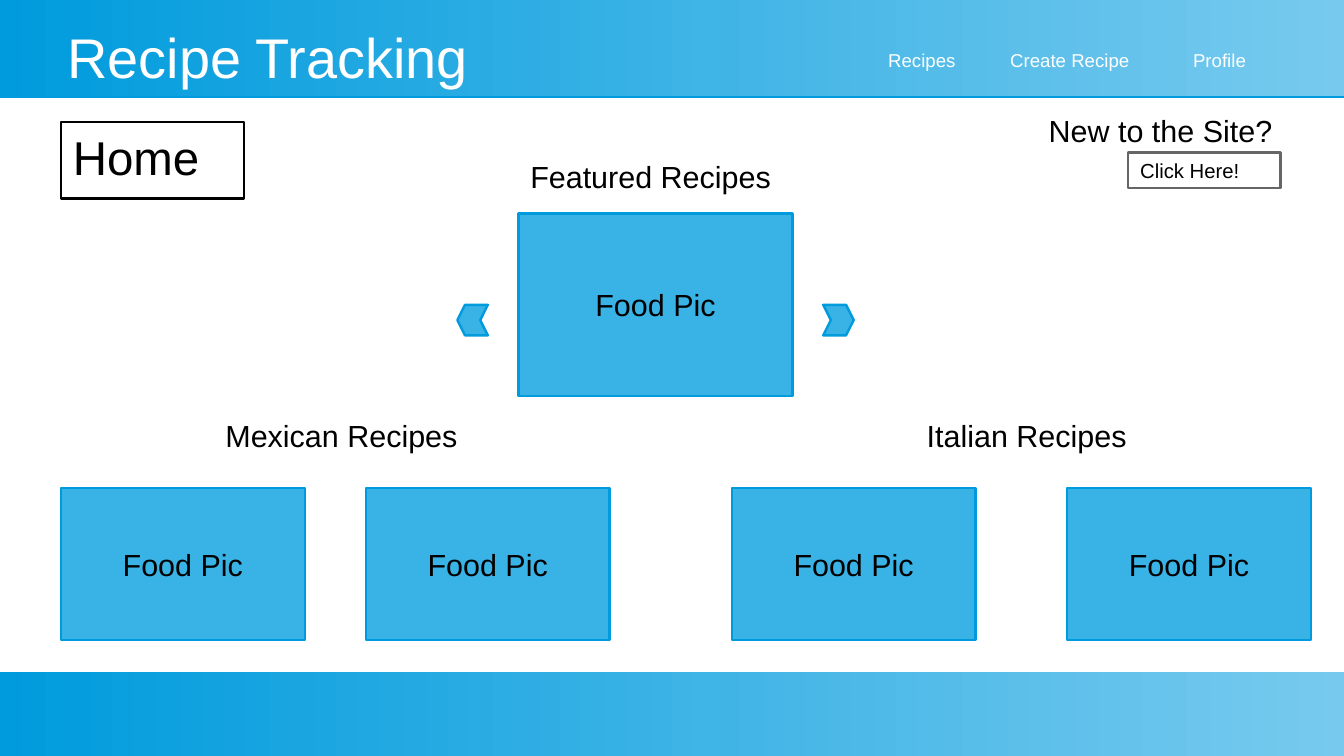
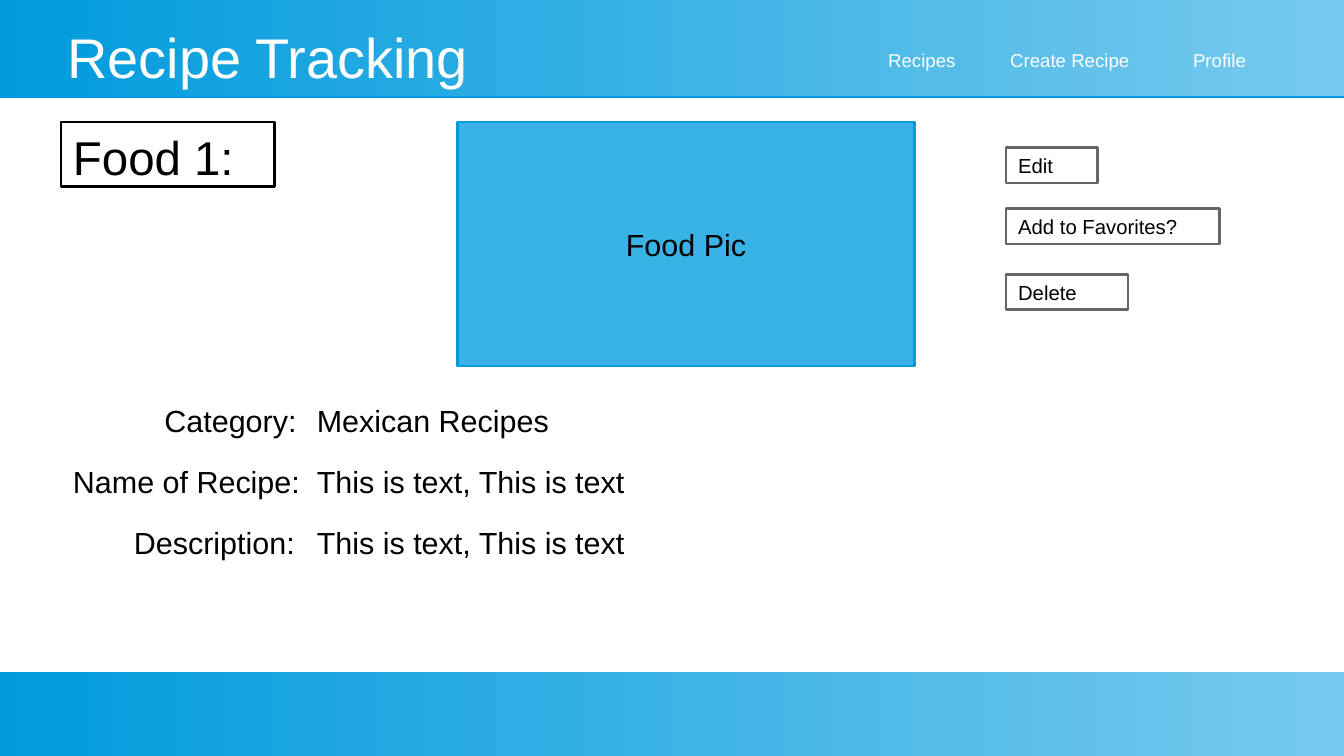
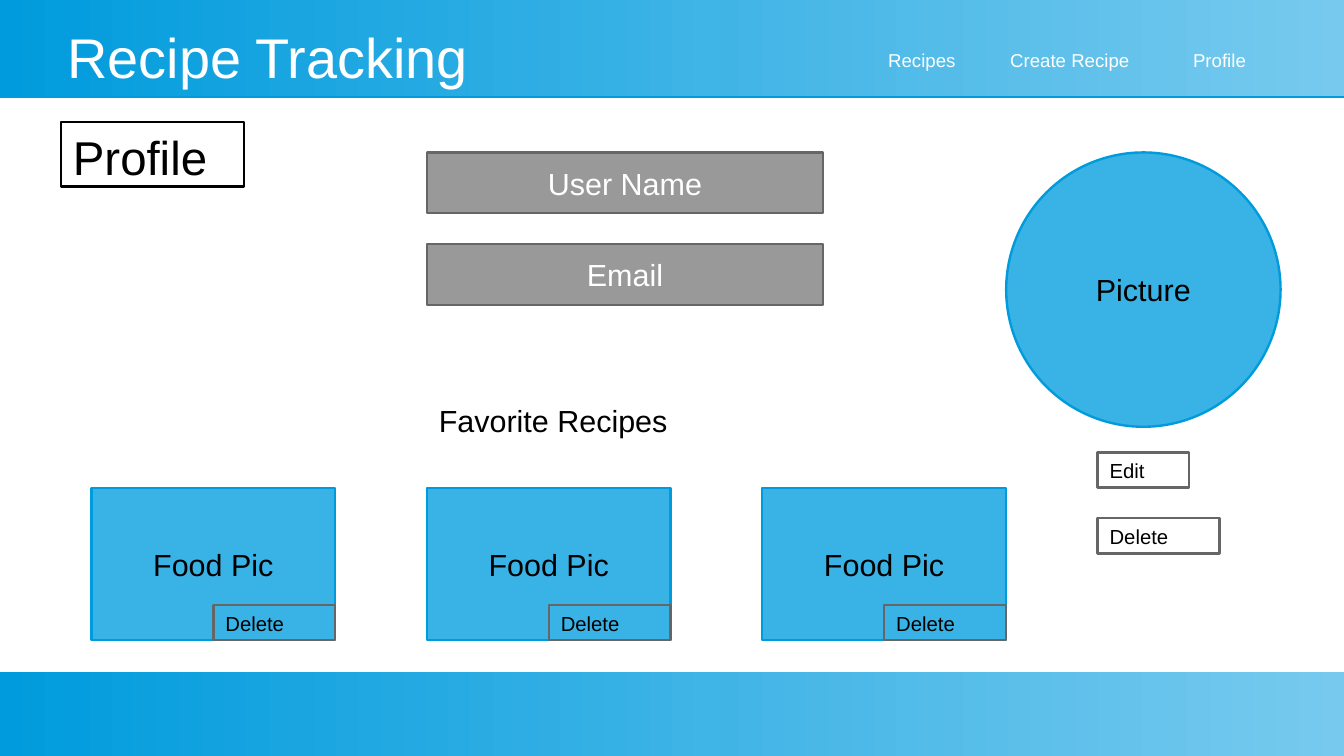
from dataclasses import dataclass
from typing import Optional

from pptx import Presentation
from pptx.dml.color import RGBColor
from pptx.enum import shapes, text
from pptx.oxml import parse_xml
from pptx.oxml.ns import nsdecls
from pptx.util import Inches, Pt

COLOURS = {
    "black": "000000",
    "white": "FFFFFF",
    "blue": "39B2E5",
    "deep_blue": "009BDD",
    "pale_blue": "77CAEE",
    "grey": "999999",
    "dark_grey": "666666",
}
FONT = "Arial"
SLIDE_WIDTH, SLIDE_HEIGHT = 11.02, 6.2
LINE_WIDTH = 1.42
BUTTON_HEIGHT = 0.29
PIC_WIDTH, PIC_HEIGHT, PIC_TOP = 2, 1.25, 4
RECT = shapes.MSO_SHAPE.RECTANGLE
CENTRED = {"vertical_anchor": text.MSO_ANCHOR.MIDDLE}
FLUSH = CENTRED | dict.fromkeys(
    ("margin_left", "margin_top", "margin_right", "margin_bottom"), 0)


@dataclass(frozen=True)
class Style:
    size: float = 18
    colour: str = "black"
    fill: Optional[str] = None
    line: Optional[str] = None
    align: text.PP_ALIGN = text.PP_ALIGN.LEFT
    frame: Optional[dict] = None


@dataclass(frozen=True)
class Box:
    left: float
    top: float
    width: float
    height: float

    def lengths(self) -> list:
        return [Inches(v) for v in (self.left, self.top, self.width, self.height)]


MIDDLE = text.PP_ALIGN.CENTER
LABEL = Style()
HEADING = Style(size=28, line="black")
BUTTON = Style(size=12, line="dark_grey")
PICTURE = Style(fill="blue", line="deep_blue", align=MIDDLE, frame=CENTRED)
FIELD = Style(colour="white", fill="grey", line="dark_grey", align=MIDDLE, frame=CENTRED)
SITE_TITLE = Style(size=33, colour="white", align=MIDDLE, frame=FLUSH)
NAVIGATION = Style(size=11, colour="white", align=MIDDLE, frame=FLUSH)

BANDS = (Box(0, 0, SLIDE_WIDTH, 0.79), Box(0, 5.51, SLIDE_WIDTH, 0.69))


def rgb(name: str) -> RGBColor:
    return RGBColor.from_string(COLOURS[name])


def add_box(slide, words: str, box: Box, style: Style, kind=RECT):
    """Draw a styled shape, or a text box if the style has no fill and no line."""
    if style.fill or style.line:
        shape = slide.shapes.add_shape(kind, *box.lengths())
        shape.shadow.inherit = False
        if style.fill:
            shape.fill.solid()
            shape.fill.fore_color.rgb = rgb(style.fill)
        else:
            shape.fill.background()
        shape.line.color.rgb = rgb(style.line)
        shape.line.width = Pt(LINE_WIDTH)
    else:
        shape = slide.shapes.add_textbox(*box.lengths())
    frame = shape.text_frame
    settings = {"word_wrap": True, "vertical_anchor": text.MSO_ANCHOR.TOP}
    for name, value in (settings | (style.frame or {})).items():
        setattr(frame, name, value)
    if words:
        paragraph = frame.paragraphs[0]
        paragraph.alignment = style.align
        run = paragraph.add_run()
        run.text = words
        for name, value in {"name": FONT, "size": Pt(style.size)}.items():
            setattr(run.font, name, value)
        run.font.color.rgb = rgb(style.colour)
    return shape


def add_band(slide, box: Box) -> None:
    band = slide.shapes.add_shape(RECT, *box.lengths())
    band.line.fill.background()
    band.fill.gradient()
    band.fill.gradient_angle = 0
    for stop, name, position in zip(
            band.fill.gradient_stops, ("deep_blue", "pale_blue"), (0, 1)):
        stop.color.rgb = rgb(name)
        stop.position = position
    band.shadow.inherit = False
    effects = band.fill._xPr.find("{*}effectLst")
    effects.append(parse_xml(
        f'<a:outerShdw {nsdecls("a")} dist="{Pt(0.9)}" dir="5400000">'
        f'<a:srgbClr val="{COLOURS["deep_blue"]}"/></a:outerShdw>'))


def add_page(deck, heading: str, heading_box: Box):
    """Add a slide with the bands, site title, navigation and page heading."""
    slide = deck.slides.add_slide(deck.slide_layouts[6])
    for band in BANDS:
        add_band(slide, band)
    add_box(slide, "Recipe Tracking", Box(0.39, 0.2, 3.61, 0.52), SITE_TITLE)
    add_box(slide, "Recipes\tCreate Recipe\t\tProfile", Box(6.5, 0.23, 4.5, 0.52), NAVIGATION)
    add_box(slide, heading, heading_box, HEADING)
    return slide


def add_button(slide, words: str, left: float, top: float, width: float) -> None:
    add_box(slide, words, Box(left, top, width, BUTTON_HEIGHT), BUTTON)


def add_food_pic(slide, box: Box) -> None:
    add_box(slide, "Food Pic", box, PICTURE)


def add_food_row(slide, lefts: tuple) -> None:
    for left in lefts:
        add_food_pic(slide, Box(left, PIC_TOP, PIC_WIDTH, PIC_HEIGHT))


def build_home(deck) -> None:
    slide = add_page(deck, "Home", Box(0.5, 1, 1.5, 0.63))
    for words, left, top in (
        ("Featured Recipes", 4.25, 1.25),
        ("Mexican Recipes", 1.75, 3.37),
        ("Italian Recipes", 7.5, 3.37),
        ("New to the Site?", 8.5, 0.87),
    ):
        add_box(slide, words, Box(left, top, 2.25, 0.38), LABEL)
    add_button(slide, "Click Here!", 9.25, 1.25, 1.25)
    add_food_pic(slide, Box(4.25, 1.75, 2.25, 1.5))
    for left, rotation in ((3.75, 180), (6.75, 0)):
        arrow = add_box(slide, "", Box(left, 2.5, 0.25, 0.25), PICTURE,
                        shapes.MSO_SHAPE.CHEVRON)
        arrow.adjustments[0] = 0.25
        arrow.rotation = rotation
    add_food_row(slide, (0.5, 3, 6, 8.75))


def build_recipe(deck) -> None:
    slide = add_page(deck, "Food 1:", Box(0.5, 1, 1.75, 0.53))
    add_food_pic(slide, Box(3.75, 1, 3.75, 2))
    details = (
        ("Category:", 1.25, "Mexican Recipes"),
        ("Name of Recipe:", 0.5, "This is text, This is text"),
        ("Description:", 1, "This is text, This is text"),
    )
    for row, (caption, left, value) in enumerate(details):
        top = 3.25 + 0.5 * row
        add_box(slide, caption, Box(left, top, 2.5, 0.5), LABEL)
        add_box(slide, value, Box(2.5, top, 3, 0.5), LABEL)
    for words, top, width in (
        ("Edit", 1.21, 0.75), ("Add to Favorites?", 1.71, 1.75), ("Delete", 2.25, 1),
    ):
        add_button(slide, words, 8.25, top, width)


def build_profile(deck) -> None:
    slide = add_page(deck, "Profile", Box(0.5, 1, 1.5, 0.53))
    for words, top in (("User Name", 1.25), ("Email", 2)):
        add_box(slide, words, Box(3.5, top, 3.25, 0.5), FIELD)
    add_box(slide, "Picture", Box(8.25, 1.25, 2.25, 2.25), PICTURE, shapes.MSO_SHAPE.OVAL)
    add_button(slide, "Edit", 9, 3.71, 0.75)
    add_button(slide, "Delete", 9, 4.25, 1)
    add_box(slide, "Favorite Recipes", Box(3.5, 3.25, 2.25, 0.38), LABEL)
    favorites = tuple(0.75 + 2.75 * column for column in range(3))
    add_food_row(slide, favorites)
    for left in favorites:
        add_button(slide, "Delete", left + PIC_WIDTH - 1,
                   PIC_TOP + PIC_HEIGHT - BUTTON_HEIGHT, 1)


def main() -> None:
    deck = Presentation()
    deck.slide_width = Inches(SLIDE_WIDTH)
    deck.slide_height = Inches(SLIDE_HEIGHT)
    for build in (build_home, build_recipe, build_profile):
        build(deck)
    deck.save("out.pptx")


if __name__ == "__main__":
    main()
